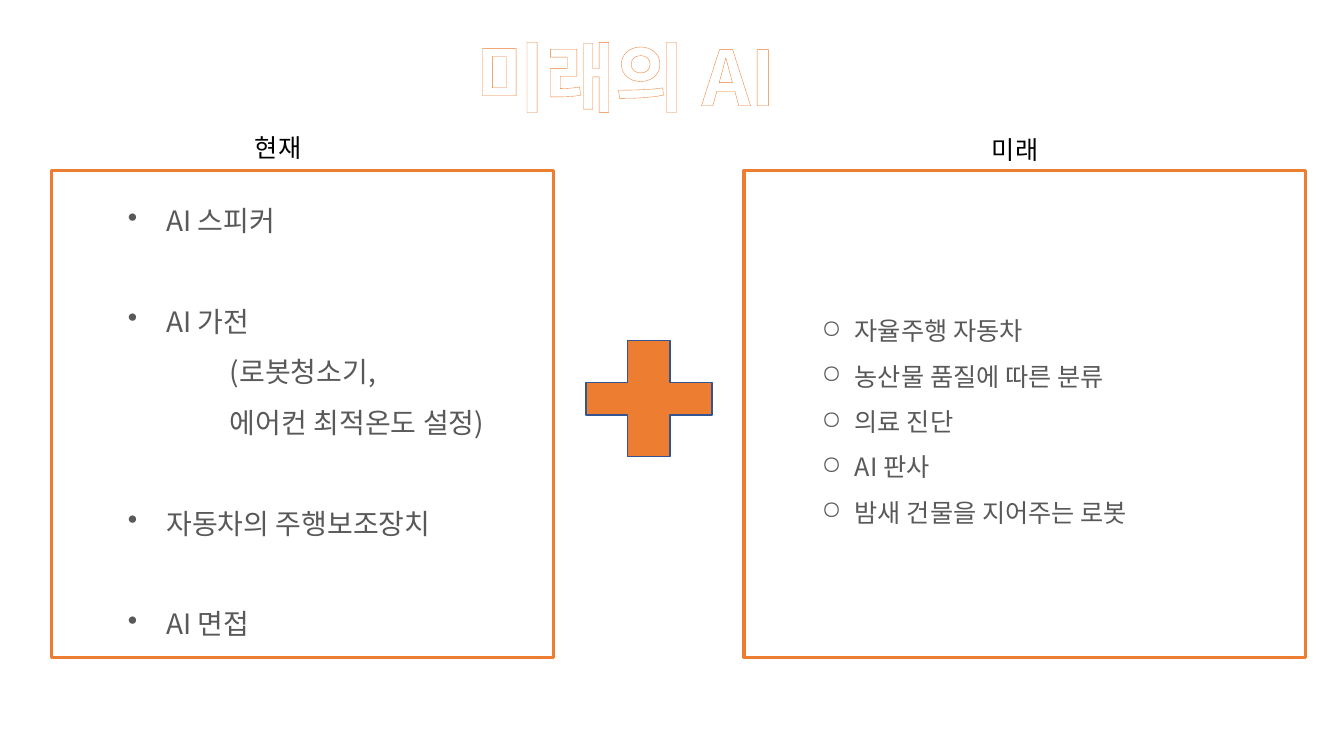
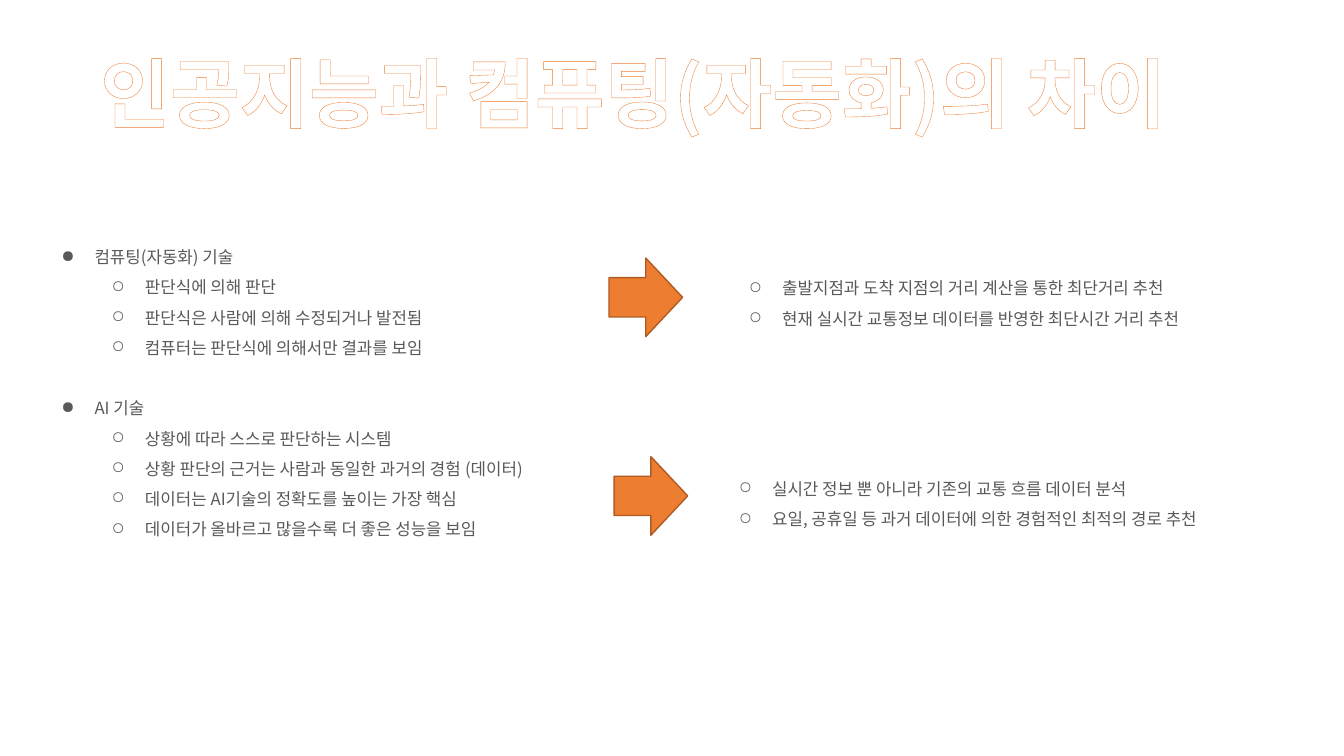
"""Build two slides on the future of AI and how it differs from computing."""
from lxml.etree import SubElement
from pptx import Presentation
from pptx.dml.color import RGBColor
from pptx.enum.shapes import MSO_SHAPE
from pptx.enum.text import MSO_ANCHOR, MSO_AUTO_SIZE, PP_ALIGN
from pptx.oxml.ns import qn
from pptx.util import Inches, Pt

FONT = "Noto Sans CJK KR"
ORANGE = RGBColor(0xED, 0x7D, 0x31)
RUST = RGBColor(0xAF, 0x5C, 0x24)
NAVY = RGBColor(0x32, 0x54, 0x91)
WHITE = RGBColor(0xFF, 0xFF, 0xFF)
BLACK = RGBColor(0, 0, 0)
GREY = RGBColor(0x59, 0x59, 0x59)
WIDTH, HEIGHT = Inches(13.33), Inches(7.5)
LINE_SPACING = 1.5
FONT_HEIGHT = 1.2

LEVELS = {
    "topic": {"bullet": "●", "level": 0, "margin": 0.5, "hang": 0.33},
    "point": {"bullet": "○", "level": 1, "margin": 1, "hang": 0.33},
    "present": {"bullet": "•", "level": 1, "margin": 1.04, "hang": 0.38},
    "detail": {"bullet": None, "level": 1, "margin": 1.67, "hang": 0},
}
FRAMES = {
    "title": {"word_wrap": False, "auto_size": MSO_AUTO_SIZE.SHAPE_TO_FIT_TEXT},
    "label": {"word_wrap": True, "auto_size": MSO_AUTO_SIZE.SHAPE_TO_FIT_TEXT},
    "panel": {"word_wrap": True, "vertical_anchor": MSO_ANCHOR.MIDDLE},
    "list": {"word_wrap": True, "margin_top": Inches(0.1), "margin_bottom": Inches(0.1)},
}

FUTURE_TITLE = ("미래의 AI", (33.38, 3.33, 26.33, 13.47))
ERAS = [
    {"label": "현재", "label_at": (18.23, 16.8, 6.3, 5.33),
     "panel_at": (3.83, 22.53, 37.36, 64.4), "size": 20,
     "items": [("present", "AI 스피커", 0), ("present", "AI 가전", 1),
               ("detail", "(로봇청소기,", 0), ("detail", "에어컨 최적온도 설정)", 0),
               ("present", "자동차의 주행보조장치", 1), ("present", "AI 면접", 1)]},
    {"label": "미래", "label_at": (73.07, 17.07, 6.3, 5.33),
     "panel_at": (55.36, 22.53, 41.79, 64.4), "size": 18,
     "items": [("point", use, 0) for use in (
         "자율주행 자동차", "농산물 품질에 따른 분류", "의료 진단",
         "AI 판사", "밤새 건물을 지어주는 로봇")]},
]
PLUS_AT = (43.59, 45.07, 9.38, 15.33)

DIFFERENCE_TITLE = ("인공지능과 컴퓨팅(자동화)의 차이", (2.55, 5.47, 89.12, 13.47))
TECHNOLOGIES = [
    ("컴퓨팅(자동화) 기술", ["판단식에 의해 판단",
                      "판단식은 사람에 의해 수정되거나 발전됨",
                      "컴퓨터는 판단식에 의해서만 결과를 보임"]),
    ("AI 기술", ["상황에 따라 스스로 판단하는 시스템",
               "상황 판단의 근거는 사람과 동일한 과거의 경험 (데이터)",
               "데이터는 AI기술의 정확도를 높이는 가장 핵심",
               "데이터가 올바르고 많을수록 더 좋은 성능을 보임"]),
]
TECHNOLOGIES_AT = (2.55, 30, 69.92, 56.53)
OUTCOMES = [
    {"arrow_at": (45.31, 34.13, 5.48, 10.4), "text_at": (49.96, 34.8, 49.96, 8.93),
     "points": ["출발지점과 도착 지점의 거리 계산을 통한 최단거리 추천",
                "현재 실시간 교통정보 데이터를 반영한 최단시간 거리 추천"]},
    {"arrow_at": (45.69, 60.4, 5.48, 10.4), "text_at": (49.21, 61.33, 49.96, 8.93),
     "points": ["실시간 정보 뿐 아니라 기존의 교통 흐름 데이터 분석",
                "요일, 공휴일 등 과거 데이터에 의한 경험적인 최적의 경로 추천"]},
]


def apply(target, values):
    for name, value in values.items():
        setattr(target, name, value)


def place(shares):
    return [int(share * side / 100) for share, side in zip(shares, (WIDTH, HEIGHT) * 2)]


def add_solid(parent, tag, color):
    SubElement(SubElement(parent, qn(tag)), qn("a:srgbClr")).set("val", str(color))


def write(paragraph, text, size, color, bold=None):
    run = paragraph.add_run()
    run.text = text
    apply(run.font, {"name": FONT, "size": Pt(size), "bold": bold})
    run.font.color.rgb = color
    SubElement(run.font._element, qn("a:ea")).set("typeface", FONT)
    return run


def add_text(slide, at, role):
    frame = slide.shapes.add_textbox(*place(at)).text_frame
    apply(frame, FRAMES[role])
    return frame


def add_title(slide, text, at):
    paragraph = add_text(slide, at, "title").paragraphs[0]
    paragraph.alignment = PP_ALIGN.CENTER
    properties = write(paragraph, text, 54, WHITE, True).font._element
    outline = SubElement(properties, qn("a:ln"), w=str(Pt(0.52)))
    add_solid(outline, "a:solidFill", ORANGE)
    properties.insert(0, outline)


def add_figure(slide, preset, at, fill, line, weight):
    figure = slide.shapes.add_shape(preset, *place(at))
    figure.shadow.inherit = False
    figure.fill.solid()
    figure.fill.fore_color.rgb = fill
    figure.line.color.rgb = line
    figure.line.width = Pt(weight)
    return figure


def fill_list(frame, items, size):
    for index, (kind, text, lines_before) in enumerate(items):
        style = LEVELS[kind]
        paragraph = frame.add_paragraph() if index else frame.paragraphs[0]
        gap = lines_before * size * FONT_HEIGHT * LINE_SPACING
        apply(paragraph, {"alignment": PP_ALIGN.LEFT, "level": style["level"],
                          "line_spacing": LINE_SPACING, "space_before": Pt(gap)})
        properties = paragraph._p.get_or_add_pPr()
        properties.set("marL", str(Inches(style["margin"])))
        properties.set("indent", str(-Inches(style["hang"])))
        if style["bullet"]:
            add_solid(properties, "a:buClr", GREY)
            SubElement(properties, qn("a:buChar")).set("char", style["bullet"])
        write(paragraph, text, size, GREY)


def build_future(slide):
    add_title(slide, *FUTURE_TITLE)
    for era in ERAS:
        panel = add_figure(slide, MSO_SHAPE.RECTANGLE, era["panel_at"], WHITE, ORANGE, 2.25)
        apply(panel.text_frame, FRAMES["panel"])
        fill_list(panel.text_frame, era["items"], era["size"])
        label = add_text(slide, era["label_at"], "label")
        write(label.paragraphs[0], era["label"], 18, BLACK)
    plus = add_figure(slide, MSO_SHAPE.CROSS, PLUS_AT, ORANGE, NAVY, 1)
    plus.adjustments[0] = 0.36


def build_difference(slide):
    items = []
    for order, (topic, points) in enumerate(TECHNOLOGIES):
        items.append(("topic", topic, order))
        items += [("point", point, 0) for point in points]
    fill_list(add_text(slide, TECHNOLOGIES_AT, "list"), items, 12)
    add_title(slide, *DIFFERENCE_TITLE)
    for outcome in OUTCOMES:
        points = [("point", point, 0) for point in outcome["points"]]
        fill_list(add_text(slide, outcome["text_at"], "label"), points, 12)
        add_figure(slide, MSO_SHAPE.RIGHT_ARROW, outcome["arrow_at"], ORANGE, RUST, 1)


def main():
    deck = Presentation()
    apply(deck, {"slide_width": WIDTH, "slide_height": HEIGHT})
    for build in (build_future, build_difference):
        build(deck.slides.add_slide(deck.slide_layouts[6]))
    deck.save("out.pptx")


if __name__ == "__main__":
    main()
